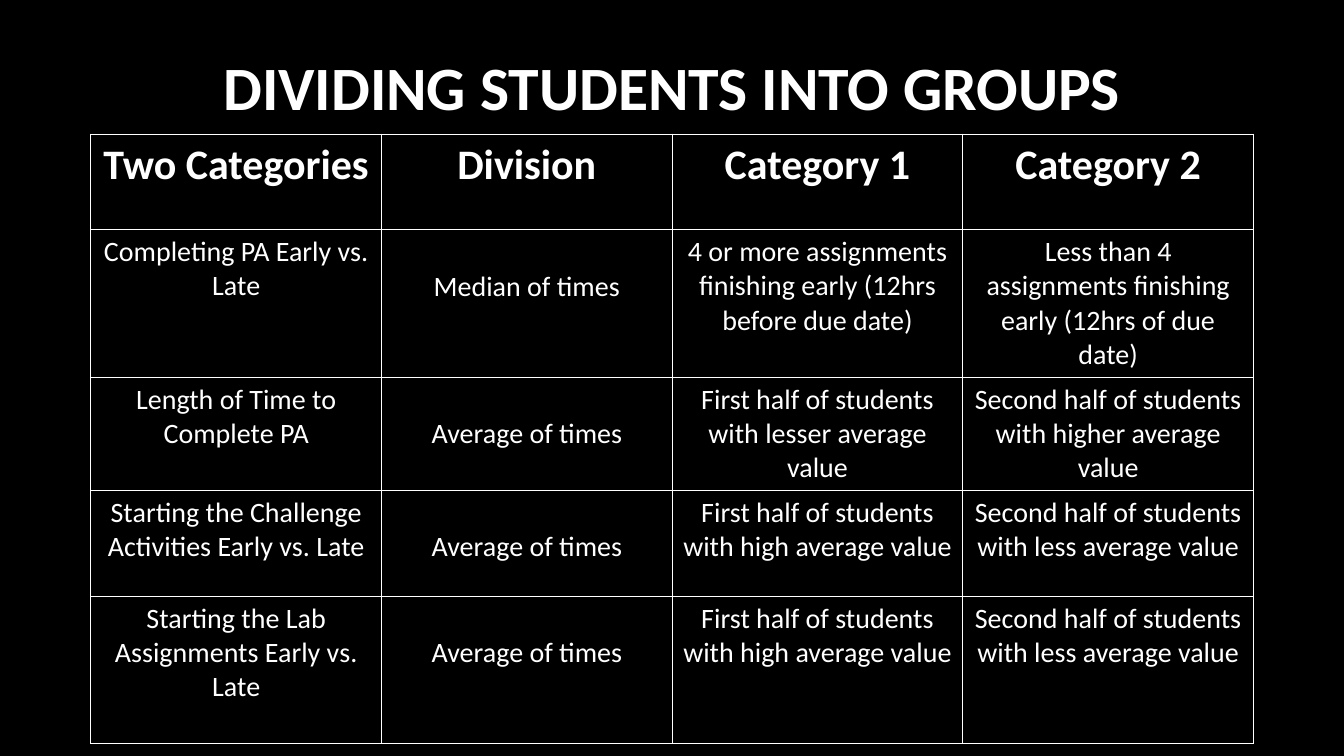
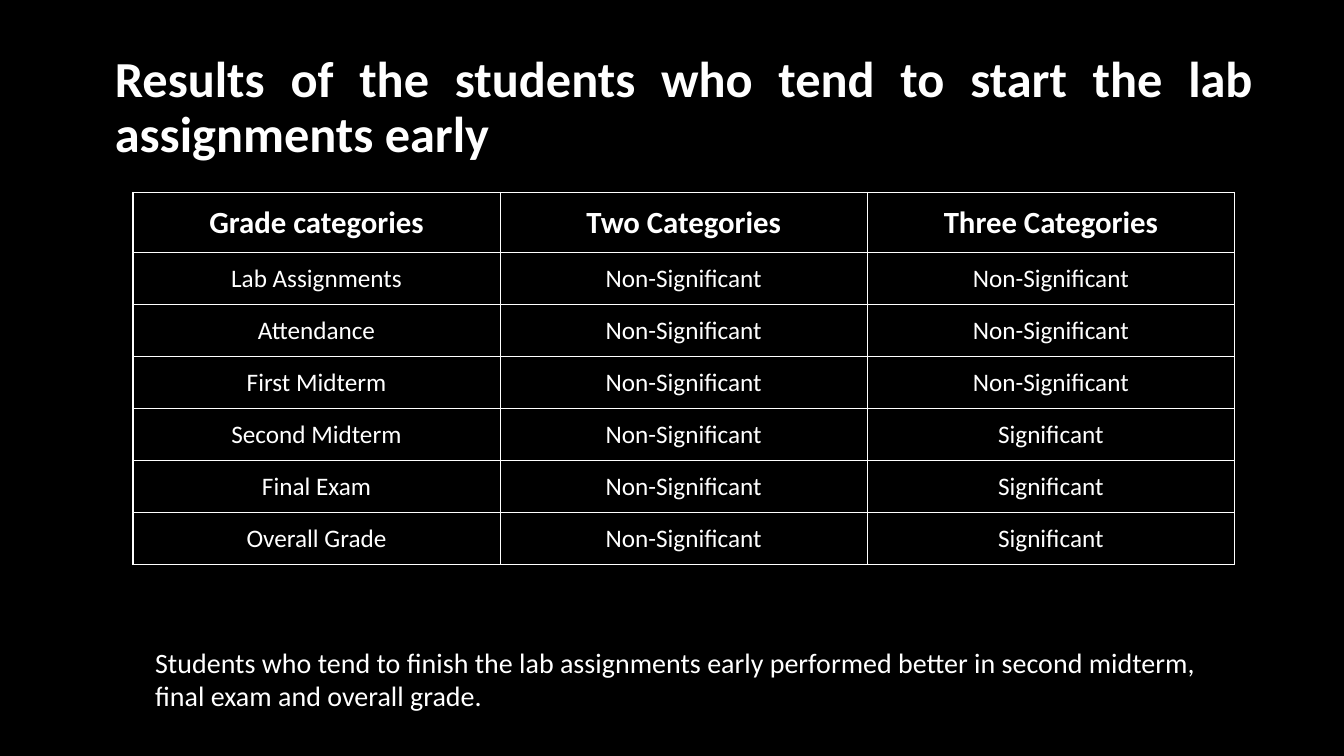
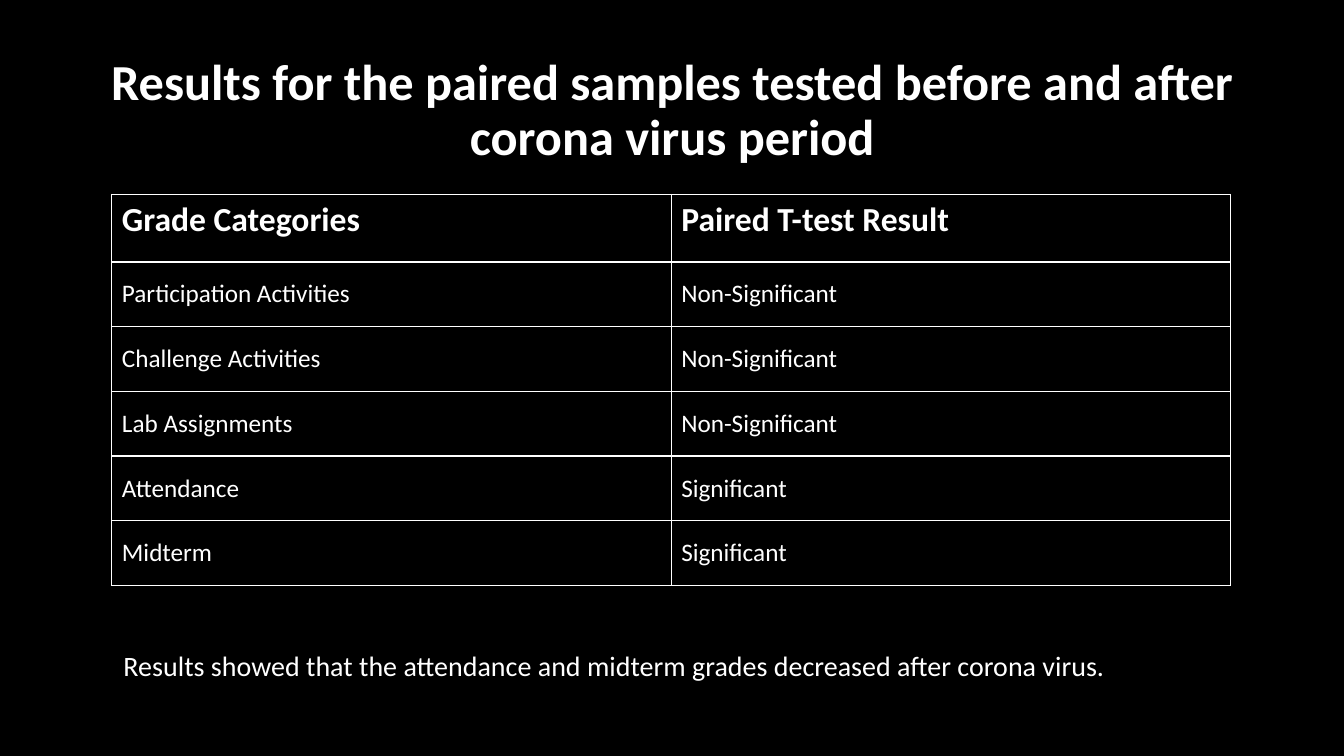
from dataclasses import dataclass

from lxml.etree import SubElement
from pptx import Presentation
from pptx.dml.color import RGBColor
from pptx.enum.text import MSO_ANCHOR as Anchor, MSO_AUTO_SIZE as AutoSize, PP_ALIGN as Align
from pptx.oxml.ns import qn
from pptx.util import Cm, Pt

COLORS = {"page": "000000", "text": "FFFFFF", "border": "FFFFFF"}
FONT = "Calibri"
TITLE_ONLY = 5
BODY_MARGIN_TOP = 0.13
LOWERED_MARGIN_TOP = 1


@dataclass
class Box:
    """A region of a page, measured in centimetres."""
    left: float
    top: float
    width: float
    height: float

    def place(self, shape):
        """Move a shape to this region."""
        shape.left, shape.top = Cm(self.left), Cm(self.top)
        shape.width, shape.height = Cm(self.width), Cm(self.height)


@dataclass
class GridStyle:
    """Text sizes, alignment and anchors of a table."""
    header_size: int
    body_size: int
    align: Align
    header_anchor: Anchor
    body_anchor: Anchor
    lowered_column: int = -1


def format_text(frame, size, bold, align):
    """Give every paragraph and run of a frame the shared look."""
    for para in frame.paragraphs:
        para.alignment = align
        for span in para.runs:
            span.font.name = FONT
            span.font.size = Pt(size)
            span.font.bold = bold
            span.font.color.rgb = RGBColor.from_string(COLORS["text"])


def add_page(deck, title, box, size, align=Align.CENTER, anchor=Anchor.MIDDLE):
    """Add a title-only page and format its title."""
    page = deck.slides.add_slide(deck.slide_layouts[TITLE_ONLY])
    heading = page.shapes.title
    box.place(heading)
    frame = heading.text_frame
    frame.text = title
    frame.word_wrap = True
    frame.auto_size = AutoSize.NONE
    frame.vertical_anchor = anchor
    frame.paragraphs[0].line_spacing = 0.9
    format_text(frame, size, True, align)
    return page


def add_borders(cell):
    """Draw a thin line on all four sides of a cell."""
    properties = cell._tc.get_or_add_tcPr()
    for side in ("lnL", "lnR", "lnT", "lnB"):
        line = SubElement(properties, qn(f"a:{side}"), w=str(Pt(1)))
        fill = SubElement(line, qn("a:solidFill"))
        SubElement(fill, qn("a:srgbClr"), val=COLORS["border"])


def add_grid(page, box, rows, heights, style):
    """Add a bordered table with equal columns and a bold header row."""
    count = len(rows[0])
    table = page.shapes.add_table(
        len(rows), count, Cm(box.left), Cm(box.top), Cm(box.width), Cm(box.height)
    ).table
    table.horz_banding = False
    for column in table.columns:
        column.width = Cm(box.width / count)
    for row_index, (texts, height) in enumerate(zip(rows, heights)):
        table.rows[row_index].height = Cm(height)
        is_header = row_index == 0
        for column_index, text in enumerate(texts):
            cell = table.cell(row_index, column_index)
            cell.text_frame.text = text
            cell.vertical_anchor = style.header_anchor if is_header else style.body_anchor
            lowered = column_index == style.lowered_column and not is_header
            cell.margin_top = Cm(LOWERED_MARGIN_TOP if lowered else BODY_MARGIN_TOP)
            size = style.header_size if is_header else style.body_size
            format_text(cell.text_frame, size, is_header, style.align)
            add_borders(cell)
            cell.fill.background()


def add_note(page, box, text, align):
    """Add the conclusion below a table."""
    note = page.shapes.add_textbox(0, 0, 0, 0)
    box.place(note)
    note.text_frame.word_wrap = True
    note.text_frame.text = text
    format_text(note.text_frame, 20, False, align)


def add_groups_page(deck):
    """Build the page on how students are divided."""
    page = add_page(deck, "DIVIDING STUDENTS INTO GROUPS", Box(2.34, 0.43, 29.21, 3.68), 44)
    rows = [
        ("Two Categories", "Division", "Category 1", "Category 2"),
        ("Completing PA Early vs. Late", "Median of times",
         "4 or more assignments finishing early (12hrs before due date)",
         "Less than 4 assignments finishing early (12hrs of due date)"),
        ("Length of Time to Complete PA", "Average of times",
         "First half of students with lesser average value",
         "Second half of students with higher average value"),
    ]
    for activity in ("Challenge Activities", "Lab Assignments"):
        rows.append((f"Starting the {activity} Early vs. Late", "Average of times",
                     "First half of students with high average value",
                     "Second half of students with less average value"))
    heights = [2.41, 3.71, 2.84, 2.67, 3.71]
    style = GridStyle(30, 20, Align.CENTER, Anchor.TOP, Anchor.TOP, lowered_column=1)
    add_grid(page, Box(2.29, 3.38, 29.3, sum(heights)), rows, heights, style)


def add_early_start_page(deck):
    """Build the page on students who start the labs early."""
    page = add_page(
        deck, "Results of the students who tend to start the lab assignments early",
        Box(2.64, 1.24, 29.21, 3.2), 36, Align.JUSTIFY, Anchor.TOP)
    no, yes = "Non-Significant", "Significant"
    rows = [
        ("Grade categories", "Two Categories", "Three Categories"),
        ("Lab Assignments", no, no),
        ("Attendance", no, no),
        ("First Midterm", no, no),
        ("Second Midterm", no, yes),
        ("Final Exam", no, yes),
        ("Overall Grade", no, yes),
    ]
    heights = [1.51] + [1.31] * 6
    style = GridStyle(22, 18, Align.CENTER, Anchor.MIDDLE, Anchor.MIDDLE)
    add_grid(page, Box(3.35, 4.85, 27.76, sum(heights)), rows, heights, style)
    add_note(
        page, Box(3.66, 16.13, 27.15, 1.96),
        "Students who tend to finish the lab assignments early performed better in second midterm,\n"
        "final exam and overall grade.", Align.JUSTIFY)


def add_paired_page(deck):
    """Build the page on the paired samples."""
    page = add_page(
        deck, "Results for the paired samples tested before and after corona virus period",
        Box(2.34, 1.75, 29.21, 2.13), 36)
    rows = [
        ("Grade Categories", "Paired T-test Result"),
        ("Participation Activities", "Non-Significant"),
        ("Challenge Activities", "Non-Significant"),
        ("Lab Assignments", "Non-Significant"),
        ("Attendance", "Significant"),
        ("Midterm", "Significant"),
    ]
    heights = [1.7] + [1.63] * 5
    style = GridStyle(24, 18, Align.LEFT, Anchor.TOP, Anchor.MIDDLE)
    add_grid(page, Box(2.82, 4.9, 28.19, sum(heights)), rows, heights, style)
    add_note(
        page, Box(2.26, 16.21, 26.44, 1.12),
        "Results showed that the attendance and midterm grades decreased after corona virus.",
        Align.CENTER)


def main():
    """Build and save the deck."""
    deck = Presentation()
    deck.slide_width, deck.slide_height = Cm(33.87), Cm(19.05)
    backdrop = deck.slide_master.background.fill
    backdrop.solid()
    backdrop.fore_color.rgb = RGBColor.from_string(COLORS["page"])
    add_groups_page(deck)
    add_early_start_page(deck)
    add_paired_page(deck)
    deck.save("out.pptx")


if __name__ == "__main__":
    main()
